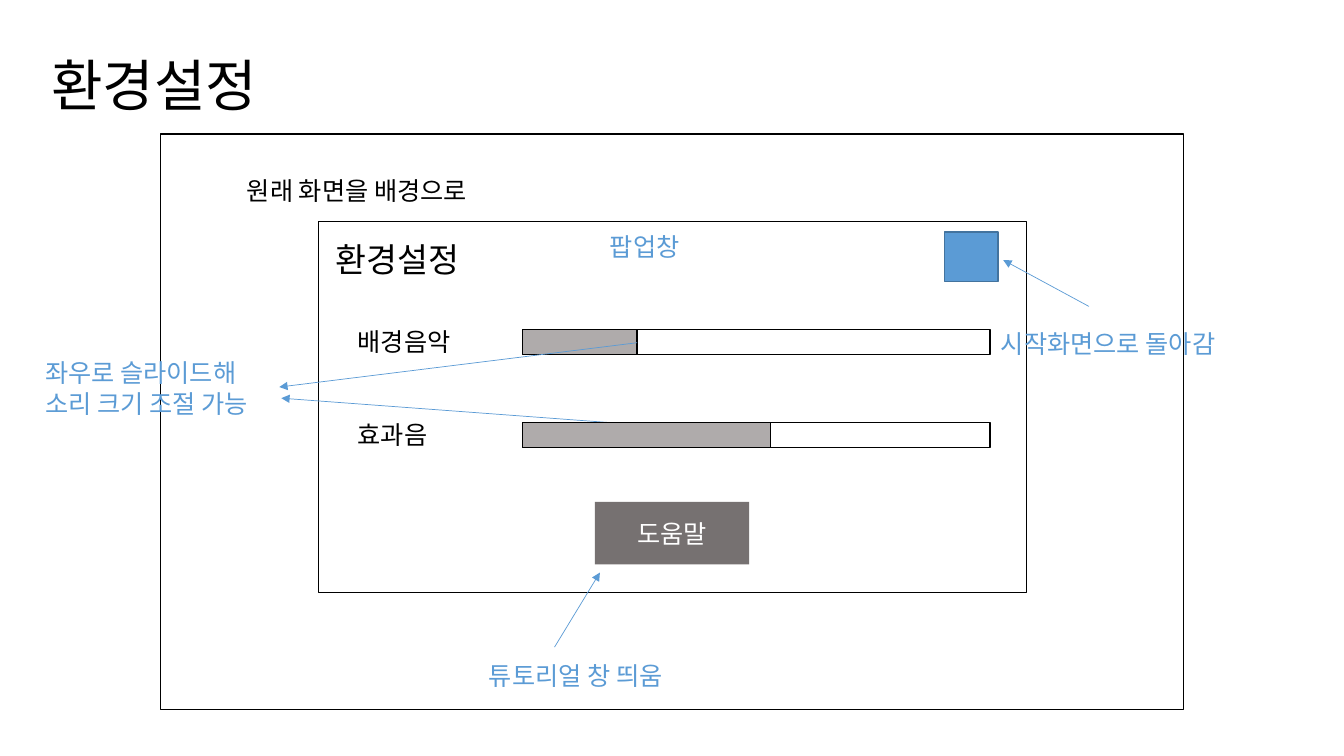
"""Build the settings-screen wireframe slide with its annotations."""
from dataclasses import dataclass
from typing import Optional

import pptx
import pptx.dml.color
import pptx.enum.shapes
import pptx.enum.text
import pptx.oxml
import pptx.oxml.ns
import pptx.util
from pptx.util import Inches

RGBColor = pptx.dml.color.RGBColor
PP_ALIGN = pptx.enum.text.PP_ALIGN
MSO_ANCHOR = pptx.enum.text.MSO_ANCHOR
FONT = "Noto Sans CJK KR"
BLACK = RGBColor(0x00, 0x00, 0x00)
WHITE = RGBColor(0xFF, 0xFF, 0xFF)
BLUE = RGBColor(0x5B, 0x9B, 0xD5)
DARK_BLUE = RGBColor(0x43, 0x73, 0x9E)
GRAY = RGBColor(0xAF, 0xAB, 0xAB)
DARK_GRAY = RGBColor(0x76, 0x71, 0x71)
BAR_LEFT, BAR_WIDTH, BAR_HEIGHT = 5.18, 4.64, 0.25


@dataclass
class Box:
    left: float
    top: float
    width: float
    height: float
    fill: Optional[RGBColor] = None
    line: Optional[RGBColor] = BLACK


@dataclass
class Label:
    text: str
    left: float
    top: float
    width: float
    height: float = 0.4
    color: RGBColor = BLUE
    size: float = 18


@dataclass
class Arrow:
    x1: float
    y1: float
    x2: float
    y2: float


@dataclass
class Slider:
    name: str
    top: float
    level: float
    label_width: float


SCREEN = Box(1.59, 1.33, 10.15, 5.71)
POPUP = Box(3.16, 2.2, 7.02, 3.68, WHITE)
CLOSE_BUTTON = Box(9.37, 2.3, 0.53, 0.49, BLUE, DARK_BLUE)
HELP_BUTTON = Box(5.9, 4.98, 1.53, 0.62, DARK_GRAY, None)
SLIDERS = [Slider("배경음악", 3.27, 1.14, 1.3), Slider("효과음", 4.19, 2.46, 1.2)]
EFFECT_ARROW = Arrow(7.63, 4.31, 2.79, 3.95)
ARROWS = [
    Arrow(10.8, 3.04, 9.95, 2.58),
    Arrow(6.32, 3.4, 2.77, 3.84),
    Arrow(5.5, 6.42, 5.95, 5.68),
]
LABELS = [
    Label("좌우로 슬라이드해\n소리 크기 조절 가능", 0.35, 3.5, 2.97, 1.01),
    Label("시작화면으로 돌아감", 9.83, 3.21, 2.64),
    Label("환경설정", 3.23, 2.32, 1.76, 0.5, BLACK, 24),
    Label("팝업창", 5.95, 2.25, 0.95),
    Label("원래 화면을 배경으로", 2.35, 1.69, 2.77, color=BLACK),
    Label("튜토리얼 창 띄움", 4.75, 6.5, 3.12),
]


def write_text(tf, text: str, *, size: float = 18, color: RGBColor = BLACK,
               align=PP_ALIGN.LEFT, anchor=MSO_ANCHOR.TOP, spacing: float = 1.0) -> None:
    tf.word_wrap = True
    tf.vertical_anchor = anchor
    tf.text = text
    for p in tf.paragraphs:
        p.alignment = align
        p.line_spacing = spacing
        for r in p.runs:
            r.font.name = FONT
            r.font.size = pptx.util.Pt(size)
            r.font.color.rgb = color
            ea = pptx.oxml.ns.qn("a:ea")
            r.font._element.find(pptx.oxml.ns.qn("a:latin")).addnext(
                r.font._element.makeelement(ea, {"typeface": FONT}))


def add_box(slide, box: Box):
    sp = slide.shapes.add_shape(
        pptx.enum.shapes.MSO_SHAPE.RECTANGLE,
        Inches(box.left), Inches(box.top), Inches(box.width), Inches(box.height))
    sp.shadow.inherit = False
    if box.fill is None:
        sp.fill.background()
    else:
        sp.fill.solid()
        sp.fill.fore_color.rgb = box.fill
    if box.line is None:
        sp.line.fill.background()
    else:
        sp.line.color.rgb = box.line
        sp.line.width = pptx.util.Pt(1)
    return sp


def add_label(slide, label: Label) -> None:
    sp = slide.shapes.add_textbox(
        Inches(label.left), Inches(label.top), Inches(label.width), Inches(label.height))
    write_text(sp.text_frame, label.text, size=label.size, color=label.color)


def add_arrow(slide, arrow: Arrow) -> None:
    sp = slide.shapes.add_connector(
        pptx.enum.shapes.MSO_CONNECTOR.STRAIGHT,
        Inches(arrow.x1), Inches(arrow.y1), Inches(arrow.x2), Inches(arrow.y2))
    sp.line.color.rgb = BLUE
    sp.line.width = pptx.util.Pt(0.5)
    ln = sp.line._get_or_add_ln()
    ln.append(ln.makeelement(pptx.oxml.ns.qn("a:tailEnd"), {"type": "triangle"}))
    ln.addnext(ln.makeelement(pptx.oxml.ns.qn("a:effectLst"), {}))


def add_title(slide, text: str) -> None:
    sp = slide.shapes.title
    sp.left, sp.top = Inches(0.41), Inches(0.15)
    sp.width, sp.height = Inches(11.5), Inches(1.45)
    write_text(sp.text_frame, text, size=40, anchor=MSO_ANCHOR.MIDDLE, spacing=0.9)


def main() -> None:
    prs = pptx.Presentation()
    prs.slide_width, prs.slide_height = Inches(13.33), Inches(7.5)
    slide = prs.slides.add_slide(prs.slide_layouts.get_by_name("Title Only"))
    add_title(slide, "환경설정")
    add_box(slide, SCREEN)
    add_box(slide, POPUP)
    for slider in SLIDERS:
        add_box(slide, Box(BAR_LEFT, slider.top, BAR_WIDTH, BAR_HEIGHT))
        add_label(slide, Label(slider.name, 3.45, slider.top - 0.08,
                               slider.label_width, color=BLACK))
    add_arrow(slide, EFFECT_ARROW)
    for slider in SLIDERS:
        add_box(slide, Box(BAR_LEFT, slider.top, slider.level, BAR_HEIGHT, GRAY))
    add_box(slide, CLOSE_BUTTON)
    sp = add_box(slide, HELP_BUTTON)
    write_text(sp.text_frame, "도움말", color=WHITE,
               align=PP_ALIGN.CENTER, anchor=MSO_ANCHOR.MIDDLE)
    for label in LABELS:
        add_label(slide, label)
    for arrow in ARROWS:
        add_arrow(slide, arrow)
    prs.save("out.pptx")


if __name__ == "__main__":
    main()
